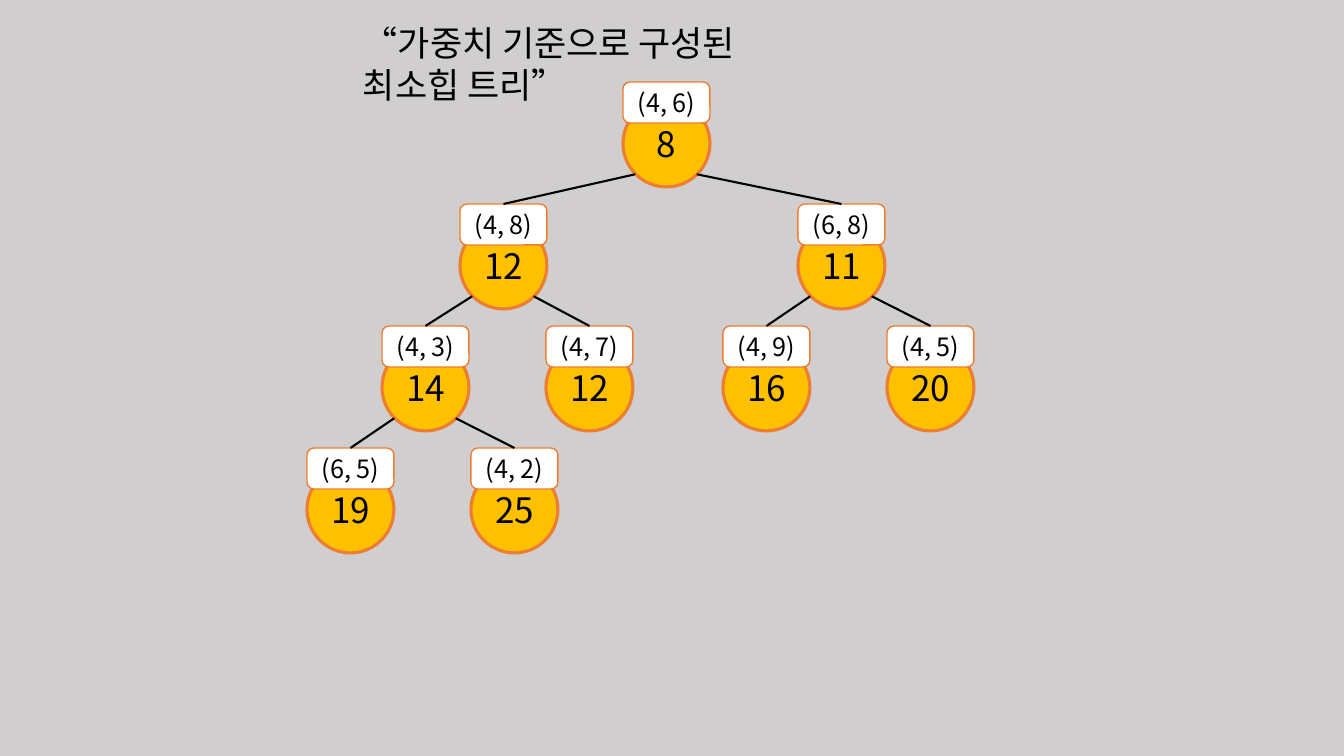
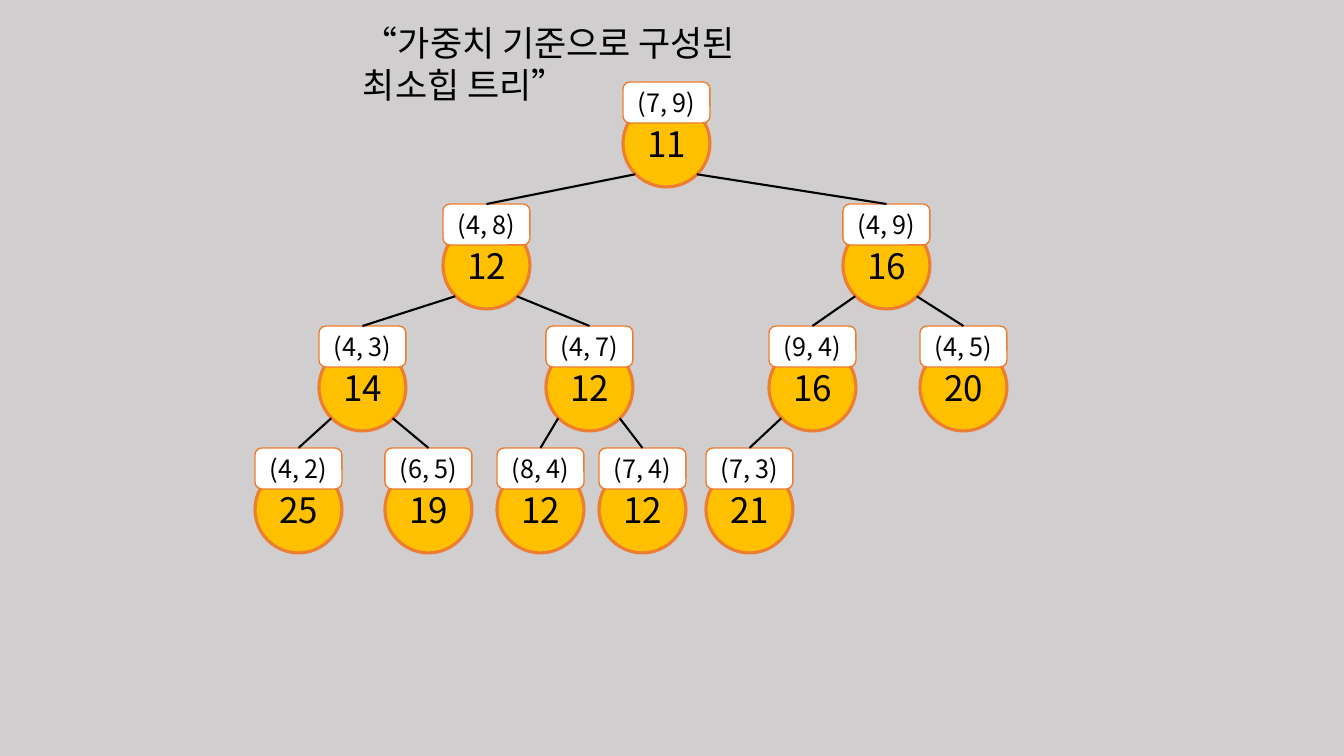
import math

from lxml import etree
from pptx import Presentation
from pptx import util as u
from pptx.dml.color import RGBColor
from pptx.enum import shapes, text
from pptx.oxml import ns

PX = 914400 / 100.8
FONT = "Noto Sans CJK KR"
GRAY = RGBColor(0xD0, 0xCE, 0xCE)
BLACK = RGBColor(0, 0, 0)
WHITE = RGBColor(0xFF, 0xFF, 0xFF)
GOLD = RGBColor(0xFF, 0xC0, 0x00)
ORANGE = RGBColor(0xED, 0x7D, 0x31)

TITLE = "“가중치 기준으로 구성된 최소힙 트리”"
TITLE_BOX = (353, 17, 480, 52)
TREE_TOP = 82
LEVEL_STEP = 122
NODE_SIZE = 87
LABEL_HEIGHT = 41
CIRCLE_DROP = 18

HEAPS = [
    [
        (666, "(4, 6)", 8),
        (503, "(4, 8)", 12), (841, "(6, 8)", 11),
        (425, "(4, 3)", 14), (589, "(4, 7)", 12),
        (766, "(4, 9)", 16), (930, "(4, 5)", 20),
        (350, "(6, 5)", 19), (514, "(4, 2)", 25),
    ],
    [
        (666, "(7, 9)", 11),
        (486, "(4, 8)", 12), (886, "(4, 9)", 16),
        (362, "(4, 3)", 14), (589, "(4, 7)", 12),
        (812, "(9, 4)", 16), (963, "(4, 5)", 20),
        (298, "(4, 2)", 25), (428, "(6, 5)", 19),
        (540, "(8, 4)", 12), (642, "(7, 4)", 12),
        (749, "(7, 3)", 21),
    ],
]


def px(value):
    return u.Emu(round(value * PX))


def write_text(shape, content, size=25, align=text.PP_ALIGN.CENTER,
               anchor=text.MSO_ANCHOR.MIDDLE, margins=(0, 0), wrap=False):
    frame = shape.text_frame
    frame.auto_size = text.MSO_AUTO_SIZE.NONE
    frame.word_wrap = wrap
    frame.vertical_anchor = anchor
    frame.margin_left = frame.margin_right = px(margins[0])
    frame.margin_top = frame.margin_bottom = px(margins[1])
    paragraph = frame.paragraphs[0]
    paragraph.alignment = align
    run = paragraph.add_run()
    run.text = content
    run.font.size = u.Pt(size)
    run.font.color.rgb = BLACK
    run.font.name = FONT
    properties = run._r.get_or_add_rPr()
    etree.SubElement(properties, ns.qn("a:ea")).set("typeface", FONT)


def add_box(parent, kind, box, fill, line_width, content, size):
    shape = parent.shapes.add_shape(kind, *map(px, box))
    shape.shadow.inherit = False
    shape.fill.solid()
    shape.fill.fore_color.rgb = fill
    shape.line.color.rgb = ORANGE
    shape.line.width = u.Pt(line_width)
    write_text(shape, content, size=size)
    return shape


def add_node(slide, left, top, edge, weight):
    group = slide.shapes.add_group_shape()
    add_box(group, shapes.MSO_SHAPE.OVAL,
            (left, top + CIRCLE_DROP, NODE_SIZE, NODE_SIZE),
            GOLD, 2.25, str(weight), 25)
    return add_box(group, shapes.MSO_SHAPE.ROUNDED_RECTANGLE,
                   (left, top, NODE_SIZE, LABEL_HEIGHT),
                   WHITE, 1, edge, 18)


def add_branch(slide, parent_center, parent_top, side, child_label):
    radius = NODE_SIZE / 2
    reach = radius * math.sqrt(0.5)
    x = px(parent_center + side * reach)
    y = px(parent_top + CIRCLE_DROP + radius + reach)
    branch = slide.shapes.add_connector(shapes.MSO_CONNECTOR.STRAIGHT, x, y, x, y)
    branch.end_connect(child_label, 0)
    branch.line.color.rgb = BLACK
    branch.line.width = u.Pt(1.5)
    etree.SubElement(branch._element.spPr, ns.qn("a:effectLst"))


def add_tree(slide, heap, top):
    levels = [top + LEVEL_STEP * ((index + 1).bit_length() - 1)
              for index in range(len(heap))]
    for index, (center, edge, weight) in enumerate(heap):
        label = add_node(slide, center - NODE_SIZE // 2, levels[index], edge, weight)
        if index:
            parent = (index - 1) // 2
            side = -1 if index % 2 else 1
            add_branch(slide, heap[parent][0], levels[parent], side, label)


def add_title(slide, box):
    title = slide.shapes.title
    title.left, title.top, title.width, title.height = map(px, box)
    write_text(title, TITLE, align=text.PP_ALIGN.LEFT,
               anchor=text.MSO_ANCHOR.TOP, margins=(10, 5), wrap=True)


def add_heap_slide(presentation, heap):
    slide = presentation.slides.add_slide(presentation.slide_layouts[5])
    add_title(slide, TITLE_BOX)
    add_tree(slide, heap, TREE_TOP)


def main():
    presentation = Presentation()
    presentation.slide_width = px(1344)
    presentation.slide_height = px(756)
    background = presentation.slide_master.background.fill
    background.solid()
    background.fore_color.rgb = GRAY
    for heap in HEAPS:
        add_heap_slide(presentation, heap)
    presentation.save("out.pptx")


if __name__ == "__main__":
    main()
